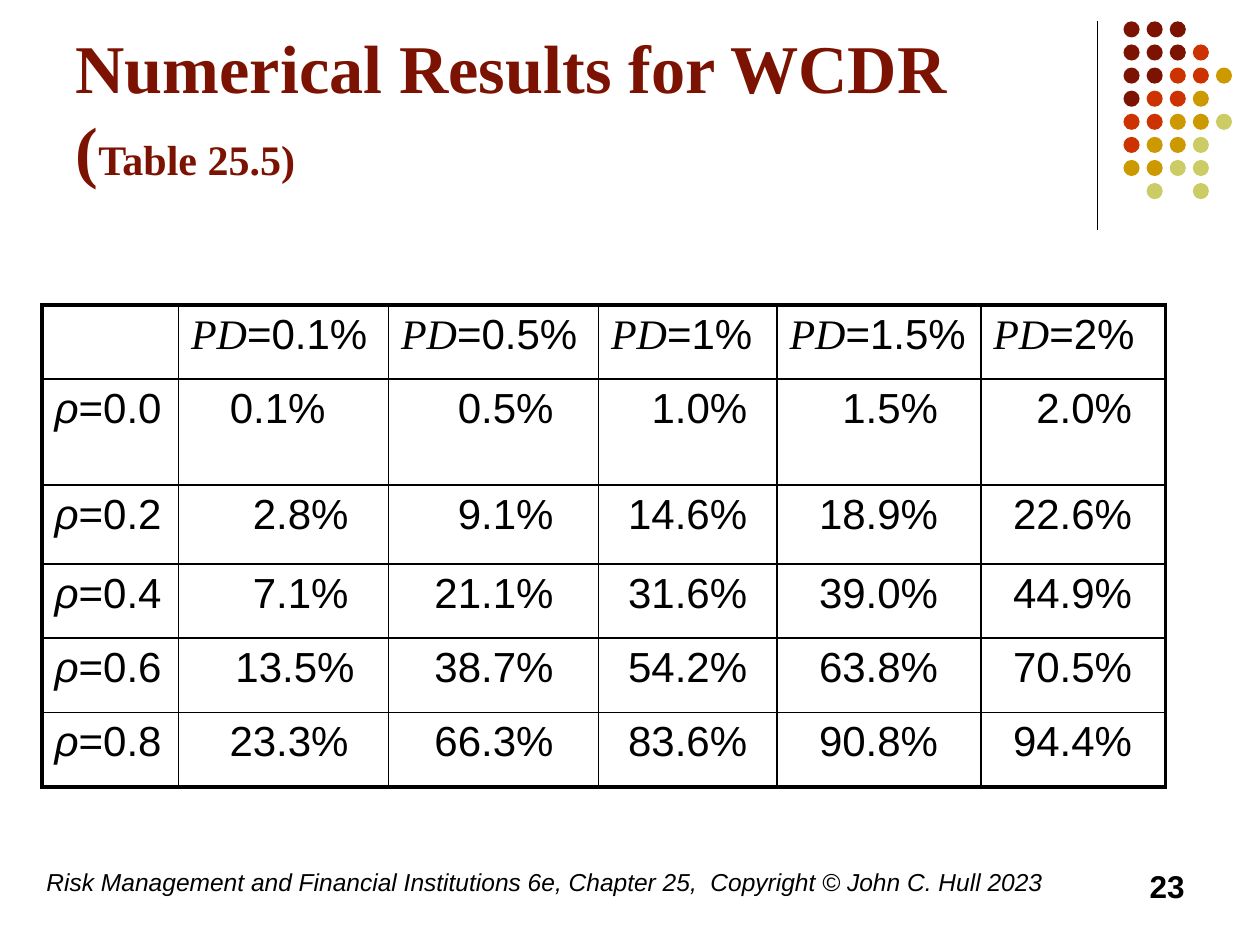
"""Builds the slide with the numerical WCDR results table."""
from lxml import etree
from pptx import Presentation
from pptx import util as u
from pptx.dml.color import RGBColor
from pptx.enum import shapes, text
from pptx.oxml import ns

COLORS = {"text": "000000", "maroon": "7C1302", "red": "CC3300",
          "gold": "CC9900", "olive": "CCCC66"}
SANS, SERIF = "Arial", "Times New Roman"
DOT_COLORS = {"M": "maroon", "R": "red", "G": "gold", "O": "olive"}
DOT_ROWS = ["MMM", "MMMR", "MMRRG", "MRRG", "RRGGO", "RGGO", "GGOO", " O O"]

DEFAULT_PROBABILITIES = ["0.1%", "0.5%", "1%", "1.5%", "2%"]
RESULTS = {
    "0.0": ["0.1%", "0.5%", "1.0%", "1.5%", "2.0%"],
    "0.2": ["2.8%", "9.1%", "14.6%", "18.9%", "22.6%"],
    "0.4": ["7.1%", "21.1%", "31.6%", "39.0%", "44.9%"],
    "0.6": ["13.5%", "38.7%", "54.2%", "63.8%", "70.5%"],
    "0.8": ["23.3%", "66.3%", "83.6%", "90.8%", "94.4%"],
}
COLUMN_WIDTHS = [78, 120, 120, 102, 116.5, 105.5]
ROW_HEIGHTS = [42.5, 60.5, 45, 42.5, 42.5, 42.5]
RIGHT_MARGINS = [22.8, 25.7, 17, 24.4, 19]
SHIFTED_MARGINS = {(0, "0.1%"): 36, (0, "13.5%"): 19.4}


def color(name):
    """Return the named palette colour."""
    return RGBColor.from_string(COLORS[name])


def add_run(paragraph, words, size, font=SANS, ink="text", bold=False, italic=False):
    """Append one formatted run."""
    run = paragraph.add_run()
    run.text = words
    run.font.size = u.Pt(size)
    run.font.name = font
    run.font.bold = bold
    run.font.italic = italic
    run.font.color.rgb = color(ink)


def place_title(slide, left, top, width, height):
    """Fill and place the title placeholder."""
    title = slide.shapes.title
    title.left, title.top = u.Pt(left), u.Pt(top)
    title.width, title.height = u.Pt(width), u.Pt(height)
    frame = title.text_frame
    frame.auto_size = text.MSO_AUTO_SIZE.NONE
    frame.vertical_anchor = text.MSO_ANCHOR.BOTTOM
    heading = frame.paragraphs[0]
    heading.alignment = text.PP_ALIGN.LEFT
    add_run(heading, "Numerical Results for WCDR", 39, SERIF, "maroon", bold=True)
    heading.add_line_break()
    add_run(heading, "(", 39, SERIF, "maroon", bold=True)
    add_run(heading, "Table 25.5)", 24, SERIF, "maroon", bold=True)


def add_corner_ornament(slide, left, top, height):
    """Draw the vertical rule and the dot pattern to its right."""
    rule = slide.shapes.add_connector(
        shapes.MSO_CONNECTOR.STRAIGHT,
        u.Pt(left), u.Pt(top), u.Pt(left), u.Pt(top + height))
    rule.line.color.rgb = color("text")
    rule.line.width = u.Pt(0.75)
    etree.SubElement(rule._element.spPr, ns.qn("a:effectLst"))
    pitch, diameter, inset = 13.2, 9.2, 15
    for row, pattern in enumerate(DOT_ROWS):
        for column, key in enumerate(pattern):
            if key not in DOT_COLORS:
                continue
            dot = slide.shapes.add_shape(
                shapes.MSO_SHAPE.OVAL, u.Pt(left + inset + column * pitch),
                u.Pt(top + row * pitch), u.Pt(diameter), u.Pt(diameter))
            dot.shadow.inherit = False
            dot.fill.solid()
            dot.fill.fore_color.rgb = color(DOT_COLORS[key])
            dot.line.fill.background()


def set_borders(cell, row, column):
    """Give a cell thin inner borders and thick outer ones."""
    outer = {"lnL": column == 0, "lnR": column == len(COLUMN_WIDTHS) - 1,
             "lnT": row == 0, "lnB": row == len(ROW_HEIGHTS) - 1}
    properties = cell._tc.get_or_add_tcPr()
    for side, is_outer in outer.items():
        border = etree.SubElement(properties, ns.qn(f"a:{side}"),
                                  w=str(u.Pt(2.25 if is_outer else 1)))
        fill = etree.SubElement(border, ns.qn("a:solidFill"))
        etree.SubElement(fill, ns.qn("a:srgbClr"), val=COLORS["text"])


def add_results_table(slide, left, top):
    """Add the table of WCDR by correlation and default probability."""
    frame = slide.shapes.add_table(
        len(ROW_HEIGHTS), len(COLUMN_WIDTHS), u.Pt(left), u.Pt(top),
        u.Pt(sum(COLUMN_WIDTHS)), u.Pt(sum(ROW_HEIGHTS)))
    table = frame.table
    table.first_row = table.horz_banding = False
    for column, width in zip(table.columns, COLUMN_WIDTHS):
        column.width = u.Pt(width)
    for row, height in zip(table.rows, ROW_HEIGHTS):
        row.height = u.Pt(height)
    for row in range(len(ROW_HEIGHTS)):
        for column in range(len(COLUMN_WIDTHS)):
            cell = table.cell(row, column)
            set_borders(cell, row, column)
            cell.fill.background()

    for column, probability in enumerate(DEFAULT_PROBABILITIES, 1):
        header = table.cell(0, column).text_frame.paragraphs[0]
        add_run(header, "PD", 24, SERIF, italic=True)
        add_run(header, f"={probability}", 24)
    for row, (correlation, rates) in enumerate(RESULTS.items(), 1):
        label = table.cell(row, 0).text_frame.paragraphs[0]
        add_run(label, "ρ", 24, italic=True)
        add_run(label, f"={correlation}", 24)
        for column, rate in enumerate(rates):
            cell = table.cell(row, column + 1)
            margin = SHIFTED_MARGINS.get((column, rate), RIGHT_MARGINS[column])
            cell.margin_right = u.Pt(margin)
            value = cell.text_frame.paragraphs[0]
            value.alignment = text.PP_ALIGN.RIGHT
            add_run(value, rate, 24)


def add_footer(slide, left, top, width, height):
    """Add the copyright line and the page number."""
    number_width = 168
    parts = [
        (left, 595.5, text.PP_ALIGN.LEFT, 14, False,
         "Risk Management and Financial Institutions 6e, Chapter 25,  "
         "Copyright © John C. Hull 2023"),
        (left + width - number_width, number_width, text.PP_ALIGN.RIGHT, 18, True, "23"),
    ]
    for part_left, part_width, alignment, size, bold, words in parts:
        box = slide.shapes.add_textbox(
            u.Pt(part_left), u.Pt(top), u.Pt(part_width), u.Pt(height))
        box.text_frame.word_wrap = True
        line = box.text_frame.paragraphs[0]
        line.alignment = alignment
        add_run(line, words, size, bold=bold, italic=not bold)


def main():
    """Build and save the presentation."""
    deck = Presentation()
    deck.slide_width, deck.slide_height = u.Pt(720), u.Pt(540)
    slide = deck.slides.add_slide(deck.slide_layouts[5])
    add_corner_ornament(slide, 627, 12.2, 119.5)
    place_title(slide, 36, 9.4, 594, 102.2)
    add_results_table(slide, 24, 174.2)
    add_footer(slide, 19.5, 492, 664.5, 36)
    deck.save("out.pptx")


if __name__ == "__main__":
    main()
